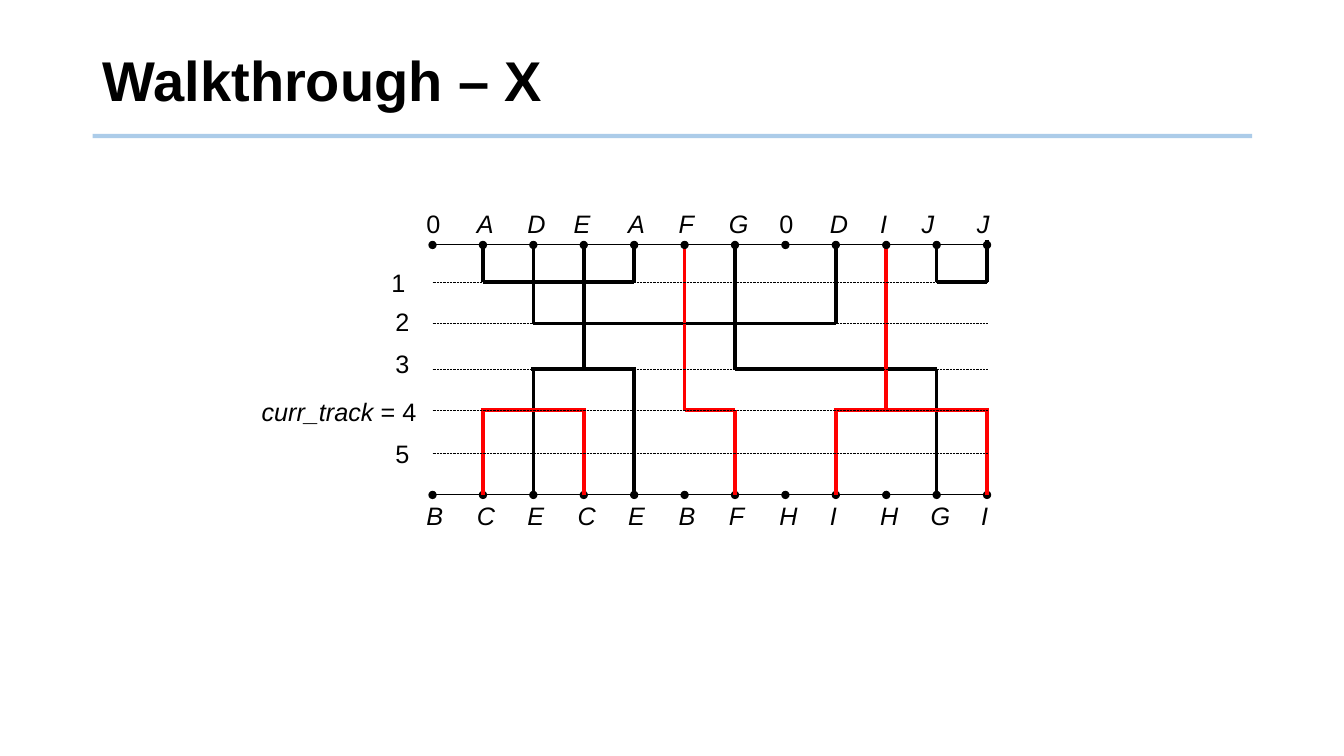
from lxml.etree import SubElement
from pptx import Presentation
from pptx.dml.color import RGBColor
from pptx.enum.dml import MSO_LINE
from pptx.enum.shapes import MSO_CONNECTOR
from pptx.enum.text import MSO_ANCHOR, MSO_AUTO_SIZE, PP_ALIGN
from pptx.oxml.ns import qn
from pptx.util import Inches, Pt

BLACK = RGBColor(0x00, 0x00, 0x00)
RED = RGBColor(0xFF, 0x00, 0x00)
BLUE = RGBColor(0x5B, 0x9B, 0xD5)

# Channel grid
LEFT, STEP = 4.29, 0.5
TOP, BASE = 2.43, 4.91
TRACKS = [2.8, 3.21, 3.66, 4.07, 4.5]
UPPER = "0ADEAFG0DIJJ"
LOWER = "BCECEBFHIHGI"
SHIFTS = {3: -0.04, 10: -0.09, 11: -0.04}  # upper labels off the grid

# Nets: track, colour, upper pins, lower pins, overhang of the trunk
NETS = [
    (1, BLACK, [1, 4], [], 0),
    (2, BLACK, [2, 8], [], 0),
    (3, BLACK, [3], [2, 4], 0.02),
    (4, RED, [5], [6], 0),
    (3, BLACK, [6], [10], 0),
    (4, RED, [9], [8, 11], 0.02),
    (1, BLACK, [10, 11], [], 0),
    (4, RED, [], [1, 3], 0.02),
]

# Track labels: right edge, top, runs
LABELS = [
    (4.13, 2.6, ["1"]),
    (4.17, 2.99, ["2"]),
    (4.17, 3.41, ["3"]),
    (4.24, 3.88, ["curr_track", " = 4"]),
    (4.17, 4.3, ["5"]),
]


def col(pin):
    return LEFT + STEP * pin


class Board:
    font = {"name": "Arial", "size": Pt(18), "bold": False}
    frame = {"word_wrap": True, "auto_size": MSO_AUTO_SIZE.NONE,
             "margin_left": Inches(0.11), "margin_right": Inches(0.11),
             "margin_top": Inches(0.05), "margin_bottom": Inches(0.05)}

    def __init__(self, slide):
        self.slide = slide

    def apply(self, item, values):
        for key, value in values.items():
            setattr(item, key, value)

    def add_text(self, para, text, **extra):
        run = para.add_run()
        run.text = text
        self.apply(run.font, {**self.font, **extra})
        run.font.color.rgb = BLACK

    def title(self, text):
        shape = self.slide.shapes.title
        self.apply(shape, {"left": Inches(0.92), "top": Inches(0.28),
                           "width": Inches(11.5), "height": Inches(1.1)})
        self.apply(shape.text_frame, {"vertical_anchor": MSO_ANCHOR.MIDDLE,
                                      "auto_size": MSO_AUTO_SIZE.NONE})
        para = shape.text_frame.paragraphs[0]
        self.apply(para, {"alignment": PP_ALIGN.LEFT, "line_spacing": 0.9})
        self.add_text(para, text, size=Pt(40), bold=True)

    def label(self, x, y, width, runs, align=PP_ALIGN.LEFT):
        box = self.slide.shapes.add_textbox(
            Inches(x), Inches(y), Inches(width), Inches(0.41))
        self.apply(box.text_frame, self.frame)
        para = box.text_frame.paragraphs[0]
        para.alignment = align
        for text in runs:
            self.add_text(para, text, italic=text[0].isalpha())

    def line(self, x1, y1, x2, y2, color, width, dash=None, ends=(), alpha=None):
        link = self.slide.shapes.add_connector(
            MSO_CONNECTOR.STRAIGHT, Inches(x1), Inches(y1), Inches(x2), Inches(y2))
        link.line.color.rgb = color
        link.line.width = Pt(width)
        if dash:
            link.line.dash_style = dash
        props = link._element.spPr
        stroke = props.find(qn("a:ln"))
        for end in ends:
            SubElement(stroke, qn(end), type="oval")
        if alpha:
            SubElement(stroke.find(".//" + qn("a:srgbClr")), qn("a:alpha"), val=alpha)
        SubElement(props, qn("a:effectLst"))

    def pins(self, y):
        for pin in range(len(UPPER) - 1):
            ends = ["a:tailEnd"] if pin else ["a:headEnd", "a:tailEnd"]
            self.line(col(pin), y, col(pin + 1), y, BLACK, 0.75, ends=ends)

    def net(self, track, color, upper, lower, over):
        y = TRACKS[track - 1]
        for pin in upper:
            start = 2.38 if pin == len(UPPER) - 1 else 2.41
            self.line(col(pin), start, col(pin), y, color, 2.5)
        for pin in lower:
            self.line(col(pin), y, col(pin), BASE, color, 2.5)
        used = upper + lower
        self.line(col(min(used)) - over, y, col(max(used)) + over, y, color, 2.5)


def main():
    deck = Presentation()
    deck.slide_width, deck.slide_height = Inches(13.33), Inches(7.5)
    board = Board(deck.slides.add_slide(deck.slide_layouts[5]))

    # Heading
    board.line(0.92, 1.35, 12.42, 1.35, BLUE, 3, alpha="50000")
    board.title("Walkthrough – X")

    # Lower pins
    board.pins(BASE)
    for pin, name in enumerate(LOWER):
        board.label(col(pin) - 0.17, BASE, 0.42, [name])

    # Routed nets
    for net in NETS:
        board.net(*net)

    # Tracks
    for y in TRACKS:
        board.line(LEFT, y, col(11), y, BLACK, 0.5, dash=MSO_LINE.ROUND_DOT)
    for right, y, runs in LABELS:
        board.label(right - 1.83, y, 1.83, runs, PP_ALIGN.RIGHT)

    # Upper pins
    board.pins(TOP)
    for pin, name in enumerate(UPPER):
        x = col(pin) - 0.17 + SHIFTS.get(pin, 0)
        board.label(x, 2.02, 0.42, [name])

    deck.save("out.pptx")


if __name__ == "__main__":
    main()
